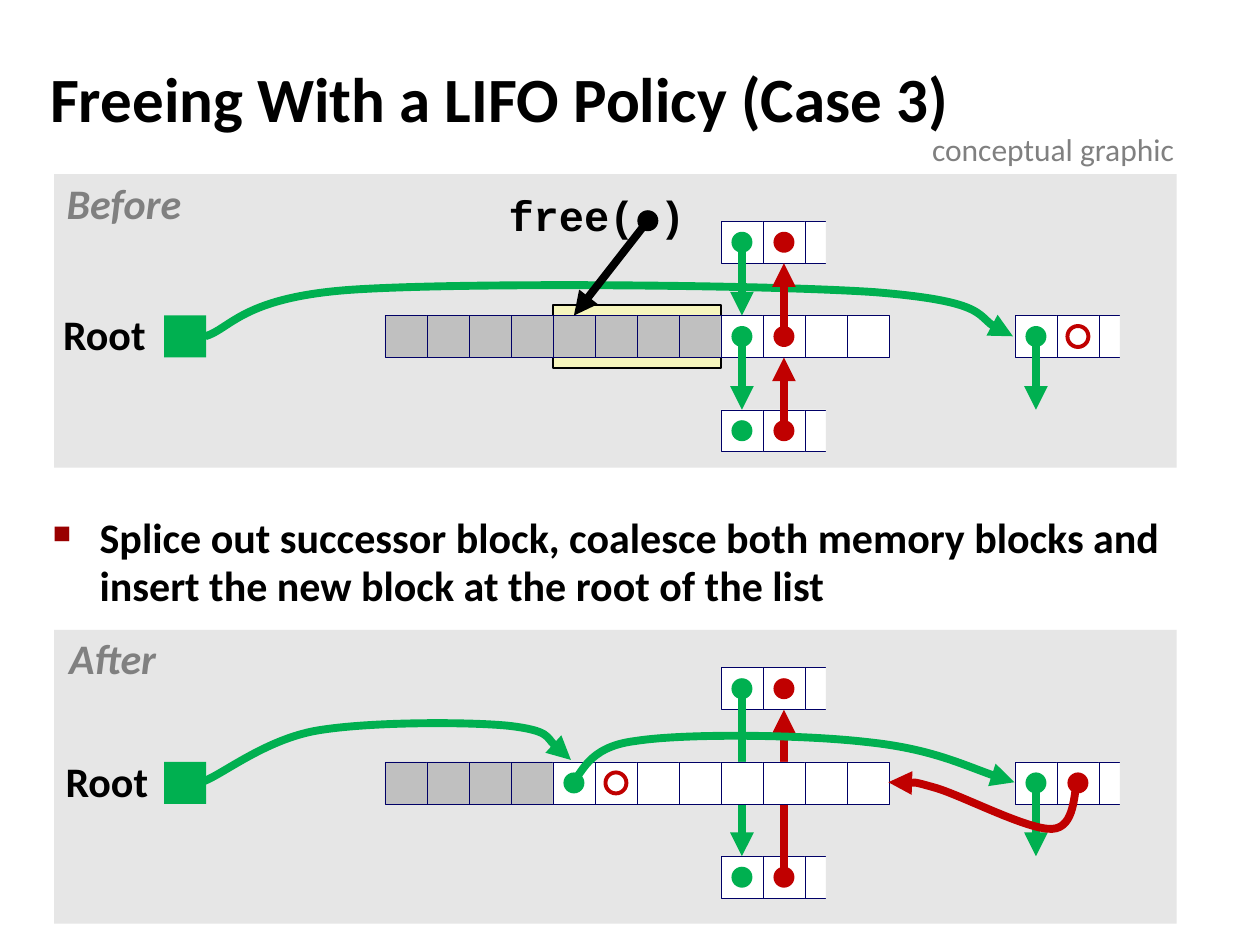
from dataclasses import dataclass
from itertools import product

from lxml import etree
from pptx import Presentation
from pptx import util as u
from pptx.dml.color import RGBColor
from pptx.enum import shapes, text
from pptx.oxml.ns import qn


@dataclass(frozen=True)
class Theme:
    panel: str = "E6E6E6"
    used: str = "C0C0C0"
    free: str = "FFFFFF"
    freed: str = "F6F5BD"
    cell_edge: str = "000066"
    ink: str = "000000"
    muted: str = "808080"
    bullet: str = "990000"
    next: str = "00B050"
    prev: str = "C00000"
    font: str = "Calibri"
    code: str = "Courier New"
    title_size: int = 36
    text_size: int = 24
    note_size: int = 18
    arrow_width: float = 4.5
    ring_width: float = 2.25


@dataclass(frozen=True)
class Label:
    words: str
    box: tuple[float, float, float, float]
    size: int
    color: str = "000000"
    font: str = "Calibri"
    bold: bool = True
    italic: bool = False
    centred: bool = True
    wrap: bool = False
    inset: float = 0.13
    spacing: float = 0.9


@dataclass(frozen=True)
class Curve:
    points: tuple[tuple[float, float], ...]  # start, then three per Bezier
    color: str


T = Theme()
RECT, OVAL = shapes.MSO_SHAPE.RECTANGLE, shapes.MSO_SHAPE.OVAL

# Memory grid in centimetres
CELL = 2.54 / 3
GRID_LEFT = 7.76
ROW_STEP = 1.9
BEFORE, AFTER = 6.36, 15.36
NEXT_COL, PREV_COL, LAST_COL = 8, 9, 15
TOP, BOTTOM = 0, 2  # connection sites

LABELS = [
    Label("Freeing With a LIFO Policy (Case 3)", (0.76, 0.99, 24.21, 2.18),
          T.title_size, centred=False, wrap=True, inset=0.25, spacing=0.87),
    Label("free( )", (10.11, 3.81, 3.84, 1.19), T.text_size, font=T.code),
    Label("Root", (1.14, 6.2, 1.93, 1.19), T.text_size),
    Label("Root", (1.19, 15.21, 1.93, 1.19), T.text_size),
    Label("Before", (1.19, 3.56, 2.62, 1.19), T.text_size, T.muted, italic=True),
    Label("After", (1.24, 12.73, 2.06, 1.19), T.text_size, T.muted, italic=True),
    Label("conceptual graphic", (18.54, 2.49, 5.51, 1.02), T.note_size, T.muted,
          bold=False, centred=False, inset=0.25, spacing=1.0),
]
BODY = Label("Splice out successor block, coalesce both memory blocks and "
             "insert the new block at the root of the list",
             (0.81, 10.26, 23.09, 2.18), T.text_size,
             centred=False, wrap=True, inset=0.25, spacing=0.95)

ROOT_BEFORE = Curve(((4.14, 6.78), (4.65, 6.63), (4.88, 5.99), (7.11, 5.84),
                     (9.37, 5.69), (15.39, 5.74), (17.63, 5.89),
                     (19.84, 6.07), (19.84, 6.6), (20.42, 6.78)), T.next)
AFTER_CURVES = [
    Curve(((11.53, 15.77), (11.73, 15.65), (11.81, 15.06), (12.8, 14.94),
           (13.79, 14.78), (16.21, 14.81), (17.48, 14.96),
           (18.75, 15.09), (19.84, 15.6), (20.45, 15.77)), T.next),
    Curve(((21.72, 15.77), (21.64, 15.93), (21.69, 16.69), (21.21, 16.71),
           (20.73, 16.74), (19.38, 16.03), (18.85, 15.88),
           (18.29, 15.72), (18.11, 15.8), (17.91, 15.77)), T.prev),
    Curve(((4.11, 15.75), (4.5, 15.6), (5.36, 14.91), (6.38, 14.73),
           (7.42, 14.55), (9.4, 14.55), (10.24, 14.63),
           (11.1, 14.73), (11.25, 15.16), (11.51, 15.32)), T.next),
]


def col_x(col: float) -> float:
    return GRID_LEFT + col * CELL


def centre(col: int, top: float) -> tuple[float, float]:
    return col_x(col + 0.5), top + CELL / 2


def add_shape(parent, kind, left: float, top: float, width: float, height: float,
              fill: str | None, edge: str | None = None, weight: float = 0.25):
    sp = parent.add_shape(kind, *map(u.Cm, (left, top, width, height)))
    sp.shadow.inherit = False
    if fill:
        sp.fill.solid()
        sp.fill.fore_color.rgb = RGBColor.from_string(fill)
    else:
        sp.fill.background()
    if edge:
        sp.line.color.rgb = RGBColor.from_string(edge)
        sp.line.width = u.Pt(weight)
    else:
        sp.line.fill.background()
    return sp


def add_cell(parent, col: int, top: float, fill: str):
    return add_shape(parent, RECT, col_x(col), top, CELL, CELL, fill, T.cell_edge)


def add_row(s, top: float, used: int) -> list:
    return [add_cell(s.shapes, col, top, T.used if col < used else T.free)
            for col in range(12)]


def add_cut_block(s, col: int, top: float) -> list:
    """A block of three cells, the last one cut off half way."""
    group = s.shapes.add_group_shape().shapes
    cells = [add_cell(group, col + i, top, T.free) for i in range(3)]
    add_shape(group, RECT, col_x(col + 2.5), top - CELL / 4, CELL, CELL * 1.5, T.panel)
    return cells


def add_dot(s, mid: tuple[float, float], color: str, ring: bool = False) -> None:
    d = CELL / 2
    add_shape(s.shapes, OVAL, mid[0] - d / 2, mid[1] - d / 2, d, d,
              None if ring else color, color if ring else None, T.ring_width)


def style_arrow(sp, color: str) -> None:
    sp.line.color.rgb = RGBColor.from_string(color)
    sp.line.width = u.Pt(T.arrow_width)
    etree.SubElement(sp.element.spPr.find(qn("a:ln")), qn("a:tailEnd"), type="triangle")


def add_arrow(s, start: tuple[float, float], end: tuple[float, float], color: str,
              target=None, site: int = TOP) -> None:
    c = s.shapes.add_connector(shapes.MSO_CONNECTOR.STRAIGHT, *map(u.Cm, start + end))
    if target is not None:
        c.end_connect(target, site)
    style_arrow(c, color)
    etree.SubElement(c.element.spPr, qn("a:effectLst"))


def add_curve(s, curve: Curve) -> None:
    pts = [(u.Cm(x), u.Cm(y)) for x, y in curve.points]
    builder = s.shapes.build_freeform(*pts[0])
    builder.add_line_segments(pts[1:], close=False)
    sp = builder.convert_to_shape()
    sp.shadow.inherit = False
    sp.fill.background()
    style_arrow(sp, curve.color)
    # Turn each three line segments into one cubic Bezier
    path = next(sp.element.iter(qn("a:path")))
    segments = path.findall(qn("a:lnTo"))
    for i in range(0, len(segments), 3):
        bezier = etree.SubElement(path, qn("a:cubicBezTo"))
        for segment in segments[i:i + 3]:
            bezier.append(segment[0])
            path.remove(segment)


def add_label(s, label: Label, bullet: str | None = None) -> None:
    tf = s.shapes.add_textbox(*map(u.Cm, label.box)).text_frame
    tf.word_wrap = label.wrap
    tf.auto_size = (text.MSO_AUTO_SIZE.NONE if label.wrap
                    else text.MSO_AUTO_SIZE.SHAPE_TO_FIT_TEXT)
    tf.margin_left = tf.margin_right = u.Cm(label.inset)
    tf.margin_top = tf.margin_bottom = u.Cm(0.13)
    if label.size == T.title_size:
        tf.vertical_anchor = text.MSO_ANCHOR.MIDDLE
    tf.text = label.words
    p = tf.paragraphs[0]
    p.alignment = text.PP_ALIGN.CENTER if label.centred else text.PP_ALIGN.LEFT
    p.line_spacing = label.spacing
    if bullet:
        ppr = p._p.get_or_add_pPr()
        ppr.set("marL", str(u.Cm(0.95)))
        ppr.set("indent", str(-u.Cm(0.95)))
        etree.SubElement(etree.SubElement(ppr, qn("a:buClr")), qn("a:srgbClr"), val=T.bullet)
        etree.SubElement(ppr, qn("a:buSzPct"), val="60000")
        etree.SubElement(ppr, qn("a:buChar"), char=bullet)
    font = p.runs[0].font
    font.name, font.size = label.font, u.Pt(label.size)
    font.bold, font.italic = label.bold, label.italic
    font.color.rgb = RGBColor.from_string(label.color)


def add_stage(s, top: float, used: int, spliced: bool) -> list:
    """Root, memory row, list neighbours and their links; returns the row."""
    above, below = top - ROW_STEP, top + ROW_STEP
    add_shape(s.shapes, RECT, 3.31, top, CELL, CELL, T.next)
    upper, lower = (add_cut_block(s, NEXT_COL, y) for y in (above, below))
    add_cut_block(s, LAST_COL, top)

    def link_neighbours(links) -> None:
        for start, down, up in links:
            for col, color, y, hit, site in (
                    (NEXT_COL, T.next, start[0], down, TOP),
                    (PREV_COL, T.prev, start[1], up, BOTTOM)):
                mid = centre(col, y)
                add_arrow(s, mid, mid, color, hit, site)

    if spliced:  # the long links run behind the merged block
        link_neighbours([((above, below), lower[0], upper[1])])
    row = add_row(s, top, used)
    if not spliced:
        link_neighbours([((above, below), row[NEXT_COL], row[PREV_COL]),
                         ((top, top), lower[0], upper[1])])
    rows = (above, below) if spliced else (above, top, below)
    for y, (col, color) in product(rows, ((NEXT_COL, T.next), (PREV_COL, T.prev))):
        add_dot(s, centre(col, y), color)

    # Former first block of the list
    x, y = centre(LAST_COL, top)
    add_dot(s, (x, y), T.next)
    add_arrow(s, (x, y), (x, below), T.next)
    add_dot(s, centre(LAST_COL + 1, top), T.prev, ring=not spliced)
    return row


def main() -> None:
    prs = Presentation()
    prs.slide_width, prs.slide_height = u.Cm(25.4), u.Cm(19.05)
    s = prs.slides.add_slide(prs.slide_layouts[6])

    # Panels
    for top in (3.51, 12.7):
        add_shape(s.shapes, RECT, 1.09, top, 22.63, 5.92, T.panel)

    # Before: the block being freed is highlighted
    add_shape(s.shapes, RECT, col_x(4), BEFORE - CELL / 4, CELL * 4, CELL * 1.5,
              T.freed, T.ink, 0.75)
    add_curve(s, ROOT_BEFORE)
    row = add_stage(s, BEFORE, used=8, spliced=False)

    # After: the merged block heads the list
    add_stage(s, AFTER, used=4, spliced=True)
    add_dot(s, centre(4, AFTER), T.next)
    add_dot(s, centre(5, AFTER), T.prev, ring=True)
    for curve in AFTER_CURVES:
        add_curve(s, curve)

    # Texts and the argument of free
    for label in LABELS:
        add_label(s, label)
    add_label(s, BODY, bullet="■")
    argument = (13.06, 4.45)
    add_dot(s, argument, T.ink)
    add_arrow(s, argument, argument, T.ink, row[4], TOP)

    prs.save("out.pptx")


if __name__ == "__main__":
    main()
